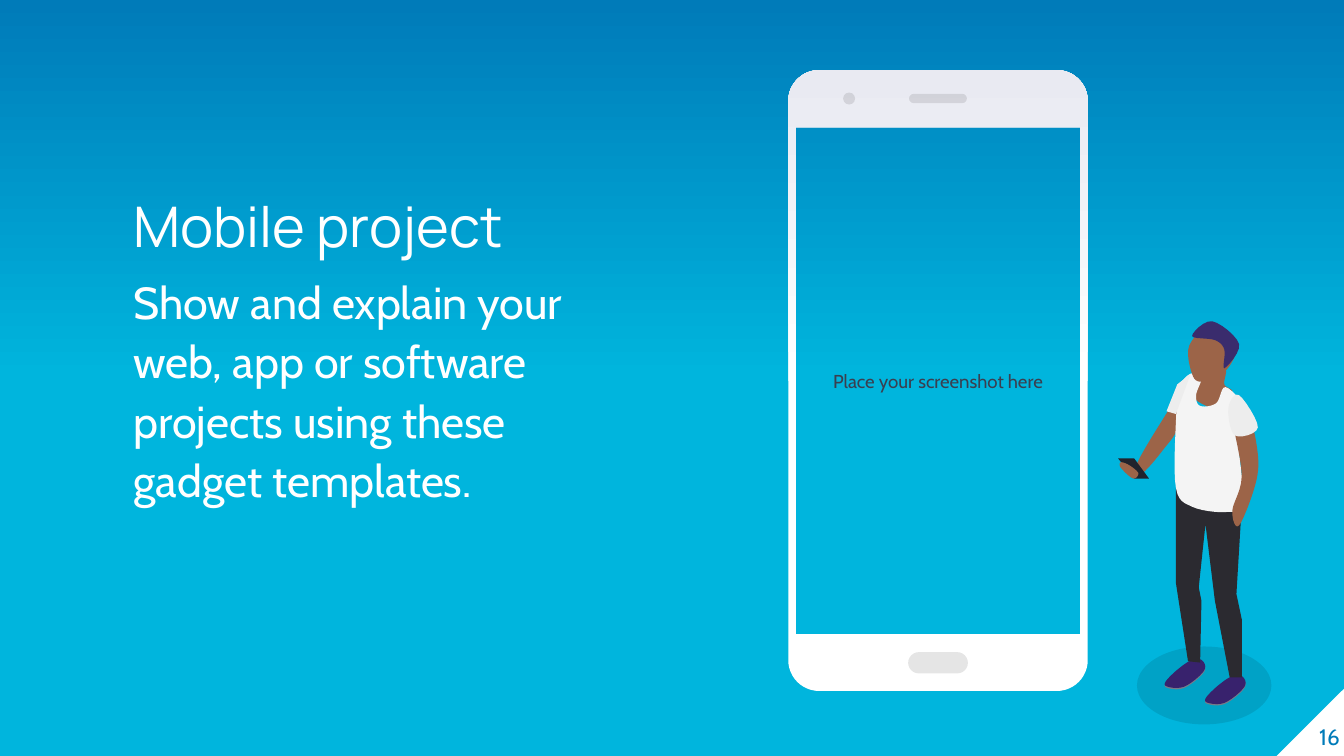
import copy
import math

from pptx import Presentation
from pptx import util as u
from pptx.dml import color
from pptx.enum import shapes, text
from pptx.oxml import ns
from lxml import etree

Pt = u.Pt
KIND = shapes.MSO_SHAPE
HEX = {
    "sky": "00B5DD", "deep": "007BB9", "white": "FFFFFF", "lilac": "E9EAF2",
    "ink": "3A3F50", "black": "000000", "shoe": "38226D", "sole": "757B89",
    "trousers": "2B2A30", "skin": "9C6448", "device": "20232D",
    "shirt": "F4F4F4", "hair": "3A2C6D", "sleeve": "EDEDED",
}
GRID = (114, 301)
SHOE = [(92, 265), (83, 266), (70, 276), (65, 284), (79, 285), (94, 273)]
BODY = [
    ("trousers", False, [(92, 137), (88, 204), (92, 223), (92, 266), (83, 266), (72, 209),
                         (65, 152), (60, 199), (62, 209), (61, 255), (52, 254),
                         (43, 196), (43, 125)]),
    ("skin", True, [(79, 36), (79, 48), (85, 54), (73, 66), (54, 56), (58, 43)]),
    ("skin", True, [(52, 46), (37, 68), (14, 107), (18, 114), (34, 96), (45, 79)]),
    ("device", False, [(0, 103), (12, 103), (23, 118), (12, 118)]),
    ("skin", True, [(2, 106), (8, 108), (15, 114), (11, 118), (2, 110)]),
    ("shirt", True, [(80, 50), (73, 62), (61, 64), (58, 56), (62, 43), (54, 40), (46, 50),
                     (43, 76), (43, 125), (55, 139), (80, 143), (93, 136), (90, 94), (94, 67)]),
    ("skin", True, [(85, 142), (92, 116), (85, 73), (88, 63), (97, 68), (104, 100),
                    (102, 123), (90, 153)]),
    ("skin", True, [(53, 19), (70, 4), (87, 22), (78, 40), (62, 46), (55, 40)]),
    ("hair", True, [(79, 36), (79, 22), (72, 15), (55, 12), (70, 1), (90, 18)]),
    ("sleeve", True, [(104, 80), (87, 86), (82, 66), (90, 56)]),
    ("sleeve", False, [(43, 70), (36, 68), (44, 48), (54, 40)]),
]


def rgb(name):
    return color.RGBColor.from_string(HEX[name])


def paint(shape, name, alpha=None):
    shape.shadow.inherit = False
    shape.line.fill.background()
    shape.fill.solid()
    shape.fill.fore_color.rgb = rgb(name)
    if alpha:
        tone = shape.element.spPr.find(".//" + ns.qn("a:srgbClr"))
        etree.SubElement(tone, ns.qn("a:alpha")).set("val", str(alpha * 1000))


def paint_gradient(fill, element, low, high):
    fill.gradient()
    fill.gradient_angle = 90
    stops = element.find(".//" + ns.qn("a:gsLst"))
    stops.insert(1, copy.deepcopy(stops[0]))
    for stop, place, name in zip(fill.gradient_stops, (0, 0.5, 1), (low, low, high)):
        stop.position = place
        stop.color.rgb = rgb(name)


def add_preset(page, kind, box, name, alpha=None):
    shape = page.shapes.add_shape(kind, *map(Pt, box))
    paint(shape, name, alpha)
    return shape


def add_outline(page, contours):
    rings = [[(Pt(x), Pt(y)) for x, y in ring] for ring in contours]
    builder = page.shapes.build_freeform(*rings[0][0], scale=1.0)
    for index, ring in enumerate(rings):
        if index:
            builder.move_to(*ring[0])
        builder.add_line_segments(ring[1:], close=True)
    return builder.convert_to_shape()


def smooth_ring(knots, steps=6):
    points = []
    for index, start in enumerate(knots):
        before, end, after = (knots[(index + shift) % len(knots)] for shift in (-1, 1, 2))
        for step in range(steps):
            t = step / steps
            points.append(tuple(
                b + t / 2 * (c - a + t * (2 * a - 5 * b + 4 * c - d
                                          + t * (3 * (b - c) + d - a)))
                for a, b, c, d in zip(before, start, end, after)))
    return points


def rounded_ring(box, radius, steps=12):
    left, top, width, height = box
    near_x, far_x = left + radius, left + width - radius
    near_y, far_y = top + radius, top + height - radius
    centres = [(far_x, far_y), (near_x, far_y), (near_x, near_y), (far_x, near_y)]
    return [(x + radius * math.cos(angle), y + radius * math.sin(angle))
            for corner, (x, y) in enumerate(centres)
            for angle in ((corner + step / steps) * math.pi / 2 for step in range(steps + 1))]


def add_words(page, box, lines, anchor, margin=0, **layout):
    frame = page.shapes.add_textbox(*map(Pt, box)).text_frame
    settings = {"word_wrap": True, "vertical_anchor": anchor}
    settings.update({f"margin_{side}": Pt(margin) for side in ("left", "top", "right", "bottom")})
    for key, value in settings.items():
        setattr(frame, key, value)
    for index, (words, size, font, name) in enumerate(lines):
        para = frame.add_paragraph() if index else frame.paragraphs[0]
        for key, value in layout.items():
            setattr(para, key, value)
        span = para.add_run()
        span.text = words
        for key, value in {"size": Pt(size), "name": font}.items():
            setattr(span.font, key, value)
        span.font.color.rgb = rgb(name)


def draw_message(page, box):
    lines = [("Mobile project", 30, "Manrope", "white"),
             ("Show and explain your web, app or software projects using these "
              "gadget templates.", 24, "Cabin", "white")]
    add_words(page, box, lines, text.MSO_ANCHOR.MIDDLE, line_spacing=1.1, space_before=Pt(6))


def draw_phone(page, box):
    left, top, width, height = box
    side, bar = 4, 30.5
    screen = (left + side, top + bar, width - 2 * side, height - 2 * bar)
    add_words(page, screen, [("Place your screenshot here", 10, "Cabin", "ink")],
              text.MSO_ANCHOR.MIDDLE, 7.2, alignment=text.PP_ALIGN.CENTER)
    x, y, w, h = screen
    hole = [(x, y), (x, y + h), (x + w, y + h), (x + w, y)]
    case = add_outline(page, [rounded_ring(box, 16.5), hole])
    paint(case, "white")
    paint_gradient(case.fill, case.element.spPr, "white", "lilac")
    middle = left + width / 2
    for kind, part in [(KIND.ROUNDED_RECTANGLE, (middle - 16, top + 311.8, 32, 11.4)),
                       (KIND.OVAL, (left + 29.4, top + 12, 6.4, 6.4)),
                       (KIND.ROUNDED_RECTANGLE, (middle - 15.5, top + 12.7, 31, 5))]:
        shape = add_preset(page, kind, part, "black", 10)
        if kind == KIND.ROUNDED_RECTANGLE:
            shape.adjustments[0] = 0.5


def draw_person(page, box):
    left, top, width, height = box
    across, down = width / GRID[0], height / GRID[1]
    add_preset(page, KIND.OVAL, (left + 14 * across, top + 243 * down, 100 * across, 58 * down),
               "black", 10)
    footwear = [(name, True, [(x + dx, y + dy + drop) for x, y in SHOE])
                for dx, dy in ((0, 0), (-30, -12))
                for name, drop in (("sole", 1), ("shoe", 0))]
    for name, curved, knots in footwear + BODY:
        ring = smooth_ring(knots) if curved else knots
        paint(add_outline(page, [[(left + x * across, top + y * down) for x, y in ring]]), name)


def draw_corner(page, box):
    left, top, width, height = box
    corner = add_preset(page, KIND.RIGHT_TRIANGLE, box, "white")
    corner.element.spPr.find(ns.qn("a:xfrm")).set("flipH", "1")
    add_words(page, (left - 3, top - 3, width, height), [("16", 12, "Cabin", "deep")],
              text.MSO_ANCHOR.BOTTOM, alignment=text.PP_ALIGN.RIGHT)


def main():
    deck = Presentation()
    deck.slide_width, deck.slide_height = Pt(720), Pt(405)
    page = deck.slides.add_slide(deck.slide_layouts[6])
    paint_gradient(page.background.fill, page.element, "sky", "deep")
    draw_corner(page, (684, 368.3, 36.7, 36.7))
    draw_message(page, (71.5, 103, 236, 164))
    draw_phone(page, (422.3, 37.6, 160.4, 332.6))
    draw_person(page, (599, 171.4, 82.1, 216.7))
    deck.save("out.pptx")


if __name__ == "__main__":
    main()
